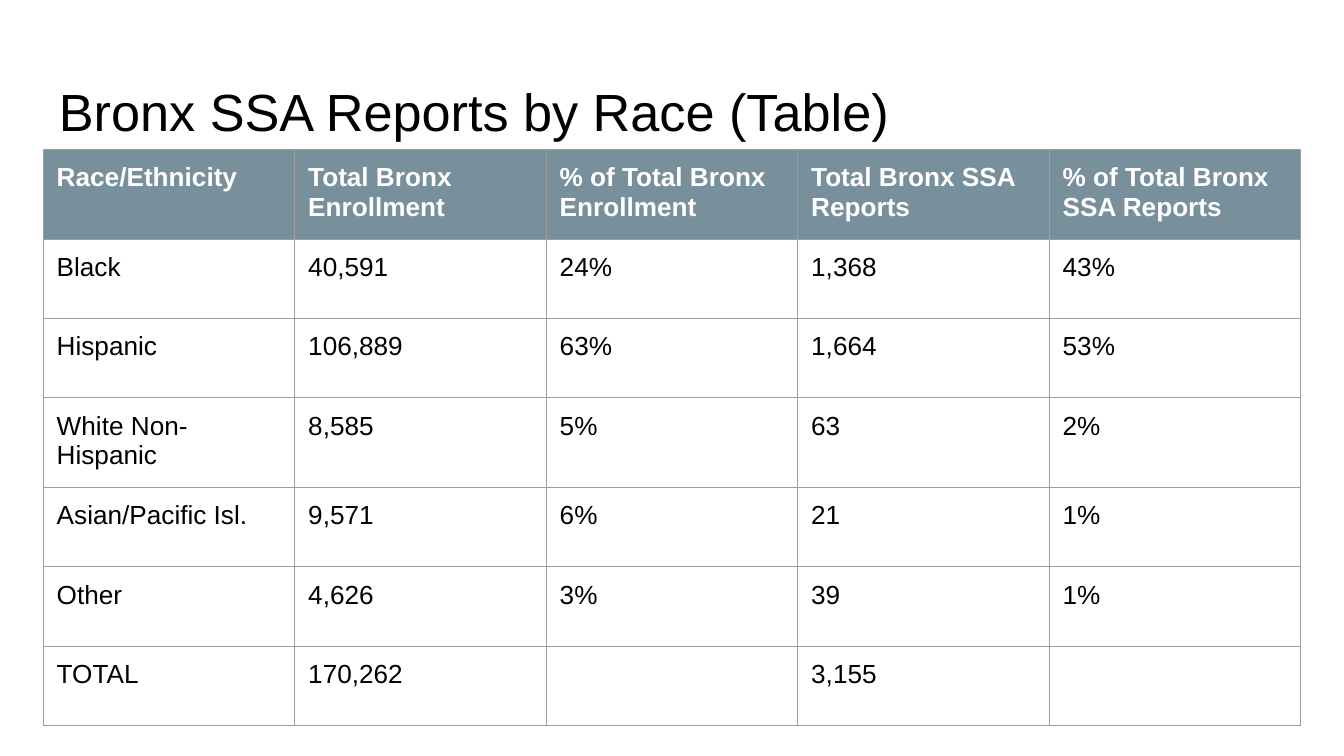
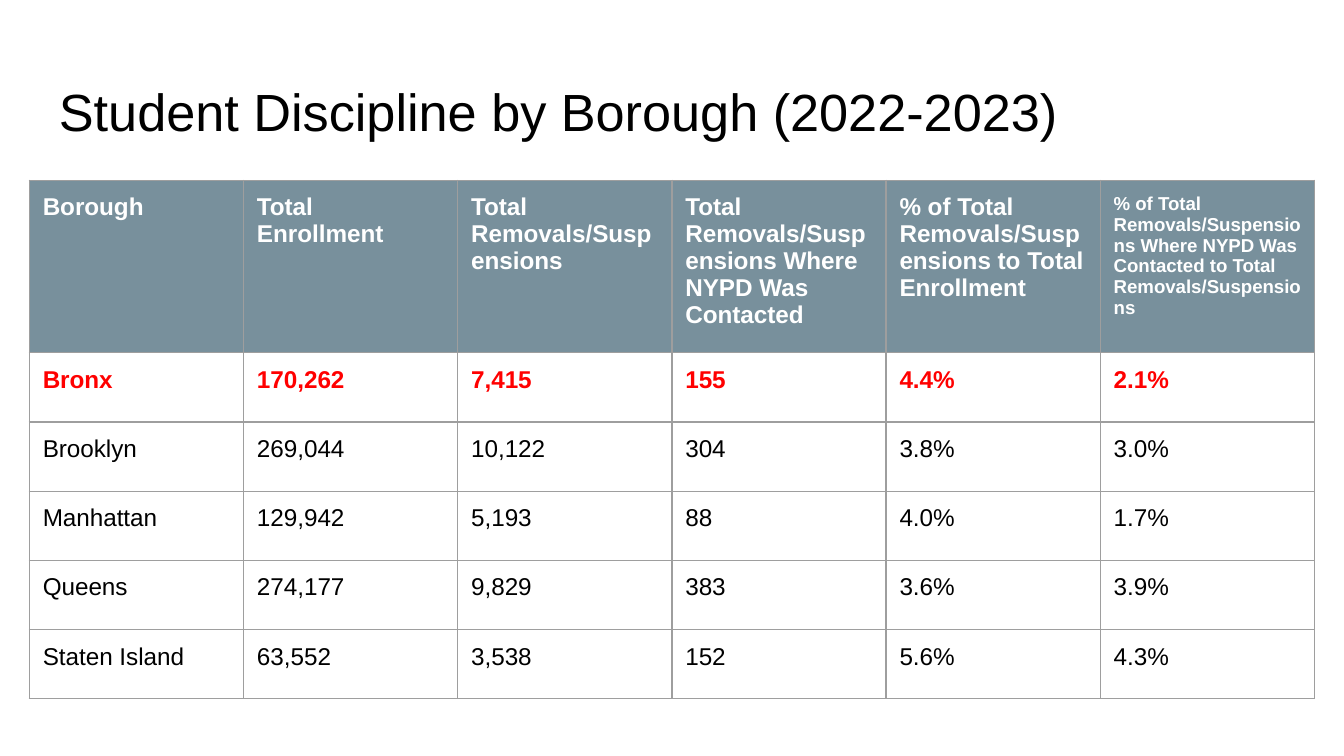
from dataclasses import dataclass, field

from lxml.etree import SubElement
from pptx import Presentation
from pptx.dml.color import RGBColor
from pptx.enum.text import MSO_ANCHOR
from pptx.oxml.ns import qn
from pptx.slide import Slide
from pptx.table import _Cell
from pptx.text.text import TextFrame
from pptx.util import Pt

FACE = "Arial"
BLACK, WHITE, RED = "000000", "FFFFFF", "FF0000"
SLATE, GRAY = "78909C", "9E9E9E"
PAD = 7.2


@dataclass
class Style:
    size: float
    color: str = BLACK
    bold: bool = False


@dataclass
class Sheet:
    title: str
    left: float
    top: float
    width: float  # of one column
    heights: list[float]
    size: float
    rows: list[list[str]]
    accent: int | None = None  # row set in bold red
    small: dict[tuple[int, int], float] = field(default_factory=dict)


RACES = Sheet(
    "Bronx SSA Reports by Race (Table)", 23.2, 80.1, 134.75,
    [46, 42.5, 42.5, 46, 42.5, 42.5, 42.5], 14,
    [
        ["Race/Ethnicity", "Total Bronx Enrollment", "% of Total Bronx Enrollment",
         "Total Bronx SSA Reports", "% of Total Bronx SSA Reports"],
        ["Black", "40,591", "24%", "1,368", "43%"],
        ["Hispanic", "106,889", "63%", "1,664", "53%"],
        ["White Non-Hispanic", "8,585", "5%", "63", "2%"],
        ["Asian/Pacific Isl.", "9,571", "6%", "21", "1%"],
        ["Other", "4,626", "3%", "39", "1%"],
        ["TOTAL", "170,262", "", "3,155", ""],
    ],
)

BOROUGHS = Sheet(
    "Student Discipline by Borough (2022-2023)", 15.7, 96.5, 114.75,
    [77] + [37.1] * 5, 13,
    [
        ["Borough", "Total Enrollment", "Total Removals/Suspensions",
         "Total Removals/Suspensions Where NYPD Was Contacted",
         "% of Total Removals/Suspensions to Total Enrollment",
         "% of Total Removals/Suspensions Where NYPD Was Contacted"
         " to Total Removals/Suspensions"],
        ["Bronx", "170,262", "7,415", "155", "4.4%", "2.1%"],
        ["Brooklyn", "269,044", "10,122", "304", "3.8%", "3.0%"],
        ["Manhattan", "129,942", "5,193", "88", "4.0%", "1.7%"],
        ["Queens", "274,177", "9,829", "383", "3.6%", "3.9%"],
        ["Staten Island", "63,552", "3,538", "152", "5.6%", "4.3%"],
    ],
    accent=1,
    small={(0, 5): 10},
)


def rgb(code: str) -> RGBColor:
    return RGBColor.from_string(code)


def write(frame: TextFrame, text: str, style: Style) -> None:
    frame.text = text
    for run in frame.paragraphs[0].runs:
        font = run.font
        font.name, font.size, font.bold = FACE, Pt(style.size), style.bold
        font.color.rgb = rgb(style.color)


def pad(box: TextFrame | _Cell) -> None:
    box.margin_left = box.margin_right = Pt(PAD)
    box.margin_top = box.margin_bottom = Pt(PAD)


def border(cell: _Cell) -> None:
    props = cell._tc.get_or_add_tcPr()
    for side in ("lnL", "lnR", "lnT", "lnB"):
        line = SubElement(props, qn(f"a:{side}"), w=str(Pt(0.75)))
        fill = SubElement(line, qn("a:solidFill"))
        SubElement(fill, qn("a:srgbClr"), val=GRAY)


def add_title(slide: Slide, text: str) -> None:
    box = slide.shapes.add_textbox(Pt(24.5), Pt(35.4), Pt(671), Pt(45.1))
    frame = box.text_frame
    frame.word_wrap = True
    frame.vertical_anchor = MSO_ANCHOR.TOP
    pad(frame)
    write(frame, text, Style(28))


def pick(sheet: Sheet, row: int, col: int) -> Style:
    """Return the text style of one cell."""
    size = sheet.small.get((row, col), sheet.size)
    if row == 0:
        return Style(size, WHITE, True)
    if row == sheet.accent:
        return Style(size, RED, True)
    return Style(size)


def add_grid(slide: Slide, sheet: Sheet) -> None:
    count = len(sheet.rows[0])
    table = slide.shapes.add_table(
        len(sheet.rows), count, Pt(sheet.left), Pt(sheet.top),
        Pt(sheet.width * count), Pt(sum(sheet.heights)),
    ).table
    table.first_row = table.horz_banding = False
    for col in table.columns:
        col.width = Pt(sheet.width)
    for row, high in zip(table.rows, sheet.heights):
        row.height = Pt(high)
    for r, texts in enumerate(sheet.rows):
        for c, text in enumerate(texts):
            cell = table.cell(r, c)
            pad(cell)
            border(cell)
            if r == 0:
                cell.fill.solid()
                cell.fill.fore_color.rgb = rgb(SLATE)
            else:
                cell.fill.background()
            write(cell.text_frame, text, pick(sheet, r, c))


def main() -> None:
    deck = Presentation()
    deck.slide_width, deck.slide_height = Pt(720), Pt(405)
    for sheet in (RACES, BOROUGHS):
        slide = deck.slides.add_slide(deck.slide_layouts[6])
        add_title(slide, sheet.title)
        add_grid(slide, sheet)
    deck.save("out.pptx")


if __name__ == "__main__":
    main()
